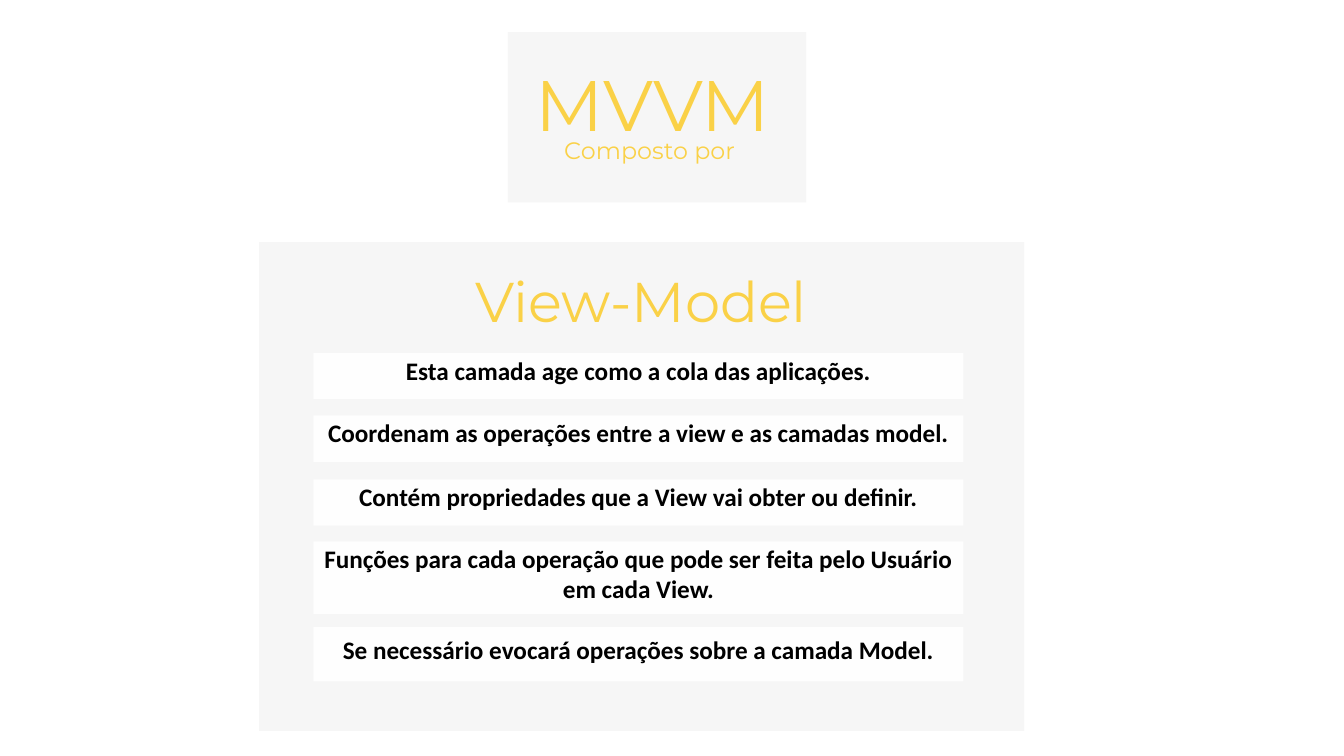
"""Build the MVVM slide that describes the View-Model layer."""
from lxml import etree
from pptx import Presentation
from pptx import util as u
from pptx.dml.color import RGBColor
from pptx.enum import shapes, text
from pptx.oxml.ns import qn

COLORS = {"panel": "E7E6E6", "card": "FFFFFF", "title": "FAD147", "body": "000000"}
CARD_LEFT, CARD_WIDTH = 7.9, 16.38

deck = Presentation()
deck.slide_width, deck.slide_height = u.Cm(33.87), u.Cm(19.05)
page = deck.slides.add_slide(deck.slide_layouts[6])


def add_panel(left, top, width, height, color, opacity):
    panel = page.shapes.add_shape(
        shapes.MSO_SHAPE.RECTANGLE, u.Cm(left), u.Cm(top), u.Cm(width), u.Cm(height))
    panel.shadow.inherit = False
    panel.line.fill.background()
    panel.fill.solid()
    panel.fill.fore_color.rgb = RGBColor.from_string(COLORS[color])
    tint = panel.fill._xPr.find(qn("a:solidFill"))[0]
    etree.SubElement(tint, qn("a:alpha"), val=str(opacity * 1000))


def add_text(wording, left, top, width, height, size=18, font="Calibri", color="body",
             bold=False, align=text.PP_ALIGN.CENTER, anchor=text.MSO_ANCHOR.TOP, spacing=1.0):
    box = page.shapes.add_textbox(u.Cm(left), u.Cm(top), u.Cm(width), u.Cm(height))
    frame = box.text_frame
    frame.word_wrap = True
    frame.vertical_anchor = anchor
    para = frame.paragraphs[0]
    para.alignment = align
    para.line_spacing = spacing
    span = para.add_run()
    span.text = wording
    span.font.size = u.Pt(size)
    span.font.name = font
    span.font.bold = bold
    span.font.color.rgb = RGBColor.from_string(COLORS[color])


heading = {"font": "Montserrat", "color": "title", "anchor": text.MSO_ANCHOR.BOTTOM}

add_panel(6.53, 6.1, 19.28, 12.32, "panel", 35)
add_text("View-Model", 10.19, 6.76, 11.94, 1.8, size=40, spacing=0.9, **heading)

add_panel(12.8, 0.81, 7.52, 4.29, "panel", 35)
add_text("MVVM", 12.9, 1.55, 7.11, 2.24, size=51, spacing=0.8, **heading)
add_text("Composto por", 13.97, 3.23, 5.18, 1.04, size=17, spacing=0.8,
         align=text.PP_ALIGN.LEFT, **heading)

cards = [
    ("Esta camada age como a cola das aplicações.", 8.89, 1.17, -0.07),
    ("Coordenam as operações entre a view e as camadas model.", 10.47, 1.17, -0.07),
    ("Contém propriedades que a View vai obter ou definir.", 12.08, 1.17, -0.07),
    ("Funções para cada operação que pode ser feita pelo Usuário em cada View.",
     13.64, 1.83, -0.07),
    ("Se necessário evocará operações sobre a camada Model.", 15.8, 1.37, 0.05),
]
for wording, top, height, shift in cards:
    add_panel(CARD_LEFT, top, CARD_WIDTH, height, "card", 90)
    add_text(wording, CARD_LEFT, top + shift, CARD_WIDTH, height, bold=True)

deck.save("out.pptx")
